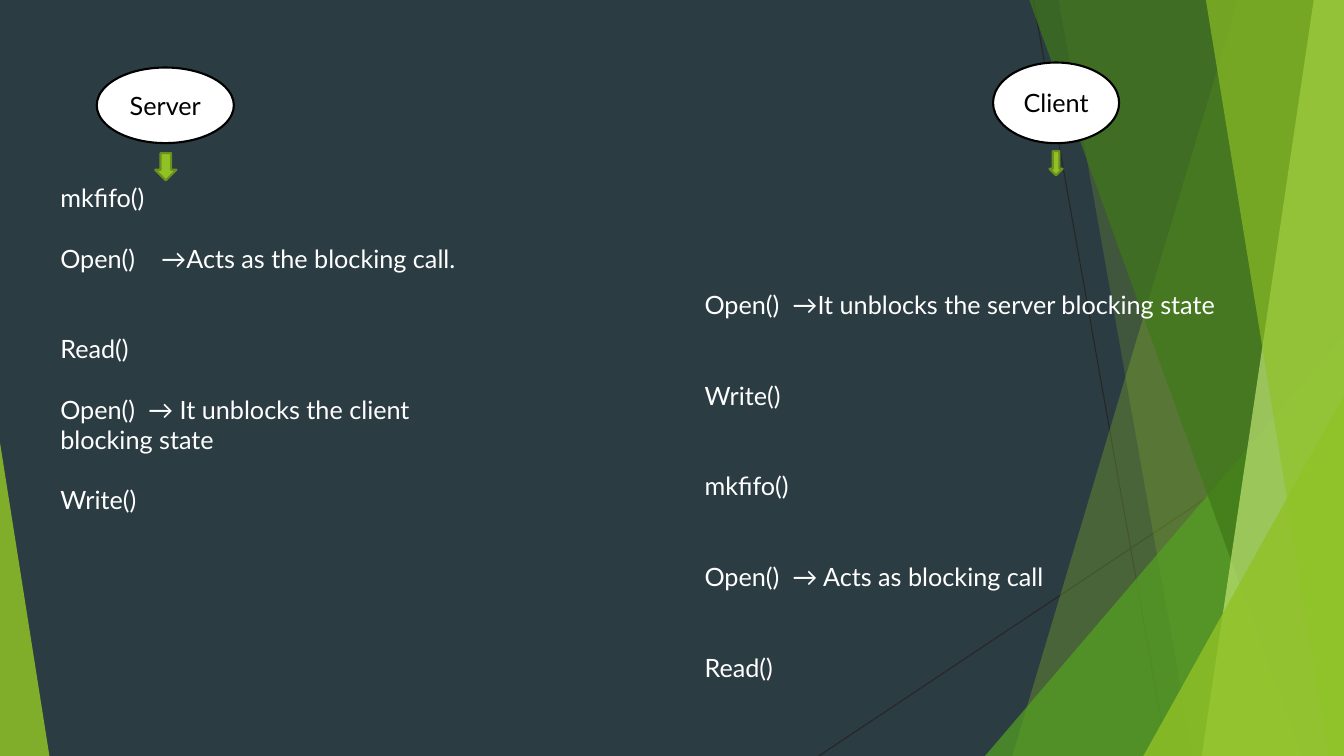
from dataclasses import dataclass

from lxml.etree import SubElement
from pptx import Presentation
from pptx.dml.color import RGBColor
from pptx.enum.shapes import MSO_CONNECTOR, MSO_SHAPE
from pptx.enum.text import MSO_ANCHOR, MSO_AUTO_SIZE, PP_ALIGN
from pptx.oxml.ns import qn
from pptx.util import Inches, Pt


@dataclass(frozen=True)
class Theme:
    back: str = "2C3C43"
    lime: str = "90C226"
    leaf: str = "54A021"
    moss: str = "3F7819"
    pale: str = "C0E474"
    edge: str = "6B901C"
    hair: str = "262626"
    black: str = "000000"
    white: str = "FFFFFF"
    font: str = "Lato"
    size: float = 18
    row: float = 21.6
    thin: float = 0.75
    bold: float = 1.5


@dataclass(frozen=True)
class Box:
    left: float
    top: float
    width: float
    height: float


@dataclass(frozen=True)
class Ray:
    start: tuple[float, float]
    end: tuple[float, float]


@dataclass(frozen=True)
class Band:
    top: float
    base: float
    color: str
    cover: int


@dataclass(frozen=True)
class Wedge:
    box: Box
    tip: int
    color: str
    cover: int


@dataclass(frozen=True)
class Step:
    text: str
    gap: int = 0
    tab: float = 0


@dataclass(frozen=True)
class Side:
    name: str
    oval: Box
    arrow: Box
    body: Box
    steps: tuple[Step, ...]


LOOK = Theme()
WIDE, HIGH = Inches(13.33), Inches(7.5)

RAYS = (Ray((76.89, 0), (86.87, 100)), Ray((100, 53.73), (60.92, 100)))

FACETS = (
    Band(92.12, 75.32, LOOK.lime, 30),
    Band(78.77, 88.75, LOOK.lime, 20),
    Wedge(Box(73.29, 44.4, 26.71, 55.6), 1, LOOK.leaf, 72),
    Band(76.59, 96.85, LOOK.moss, 70),
    Band(97.75, 89.42, LOOK.pale, 70),
    Band(89.72, 98.87, LOOK.lime, 65),
    Wedge(Box(85.07, 52.4, 14.93, 47.6), 1, LOOK.lime, 80),
    Wedge(Box(0, 58.53, 3.68, 41.47), 0, LOOK.lime, 85),
)

SIDES = (
    Side("Server", Box(7.2, 8.93, 10.2, 10), Box(11.55, 20.27, 1.58, 3.6),
         Box(3.75, 23.47, 34.66, 53.87), (
             Step("mkfifo()"),
             Step("Open()\t→Acts as the blocking call.", 1, 1),
             Step("Read()", 2),
             Step("Open()\t→ It unblocks the client blocking state", 1, 0.87),
             Step("Write()", 1))),
    Side("Client", Box(73.89, 8.27, 9.38, 10.67), Box(78.09, 20, 0.98, 3.2),
         Box(51.69, 37.6, 40.58, 57.87), (
             Step("Open()\t→It unblocks the server blocking state", 0, 0.87),
             Step("Write()", 2),
             Step("mkfifo()", 2),
             Step("Open()\t→ Acts as blocking call", 2, 0.87),
             Step("Read()", 2))),
)


def spot(across: float, down: float) -> tuple[int, int]:
    return round(WIDE * across / 100), round(HIGH * down / 100)


def place(box: Box) -> tuple[int, int, int, int]:
    return *spot(box.left, box.top), *spot(box.width, box.height)


def paint(shape, color: str, edge: str = "", cover: int = 100) -> None:
    shape.shadow.inherit = False
    shape.fill.solid()
    shape.fill.fore_color.rgb = RGBColor.from_string(color)
    if cover < 100:
        tint = shape.fill._xPr.find(qn("a:solidFill"))[0]
        SubElement(tint, qn("a:alpha")).set("val", str(cover * 1000))
    if edge:
        shape.line.color.rgb = RGBColor.from_string(edge)
        shape.line.width = Pt(LOOK.bold)
    else:
        shape.line.fill.background()


def style(para, color: str) -> None:
    for run in para.runs:
        run.font.name = LOOK.font
        run.font.size = Pt(LOOK.size)
        run.font.color.rgb = RGBColor.from_string(color)


def draw_ray(slide, ray: Ray) -> None:
    line = slide.shapes.add_connector(
        MSO_CONNECTOR.STRAIGHT, *spot(*ray.start), *spot(*ray.end))
    line.line.color.rgb = RGBColor.from_string(LOOK.hair)
    line.line.width = Pt(LOOK.thin)
    SubElement(line._element.spPr, qn("a:effectLst"))


def draw_facet(slide, facet: Band | Wedge) -> None:
    if isinstance(facet, Band):
        pen = slide.shapes.build_freeform(*spot(facet.top, 0), scale=1.0)
        pen.add_line_segments(
            [spot(100, 0), spot(100, 100), spot(facet.base, 100)], close=True)
        shape = pen.convert_to_shape()
    else:
        shape = slide.shapes.add_shape(
            MSO_SHAPE.ISOSCELES_TRIANGLE, *place(facet.box))
        shape.adjustments[0] = facet.tip
    paint(shape, facet.color, cover=facet.cover)


def draw_steps(slide, side: Side) -> None:
    frame = slide.shapes.add_textbox(*place(side.body)).text_frame
    frame.word_wrap = True
    frame.auto_size = MSO_AUTO_SIZE.SHAPE_TO_FIT_TEXT
    for index, step in enumerate(side.steps):
        para = frame.add_paragraph() if index else frame.paragraphs[0]
        para.text = step.text
        if step.tab:
            tabs = SubElement(para._p.get_or_add_pPr(), qn("a:tabLst"))
            stop = SubElement(tabs, qn("a:tab"))
            stop.set("pos", str(Inches(step.tab)))
            stop.set("algn", "l")
        if step.gap:
            para.space_before = Pt(step.gap * LOOK.row)
        style(para, LOOK.white)


def draw_side(slide, side: Side) -> None:
    oval = slide.shapes.add_shape(MSO_SHAPE.OVAL, *place(side.oval))
    paint(oval, LOOK.white, LOOK.black)
    frame = oval.text_frame
    frame.text = side.name
    frame.vertical_anchor = MSO_ANCHOR.MIDDLE
    frame.paragraphs[0].alignment = PP_ALIGN.CENTER
    style(frame.paragraphs[0], LOOK.black)
    draw_steps(slide, side)
    arrow = slide.shapes.add_shape(MSO_SHAPE.DOWN_ARROW, *place(side.arrow))
    paint(arrow, LOOK.lime, LOOK.edge)


def main() -> None:
    deck = Presentation()
    deck.slide_width, deck.slide_height = WIDE, HIGH
    slide = deck.slides.add_slide(deck.slide_layouts[6])
    slide.background.fill.solid()
    slide.background.fill.fore_color.rgb = RGBColor.from_string(LOOK.back)
    for ray in RAYS:
        draw_ray(slide, ray)
    for facet in FACETS:
        draw_facet(slide, facet)
    for side in SIDES:
        draw_side(slide, side)
    deck.save("out.pptx")


if __name__ == "__main__":
    main()
